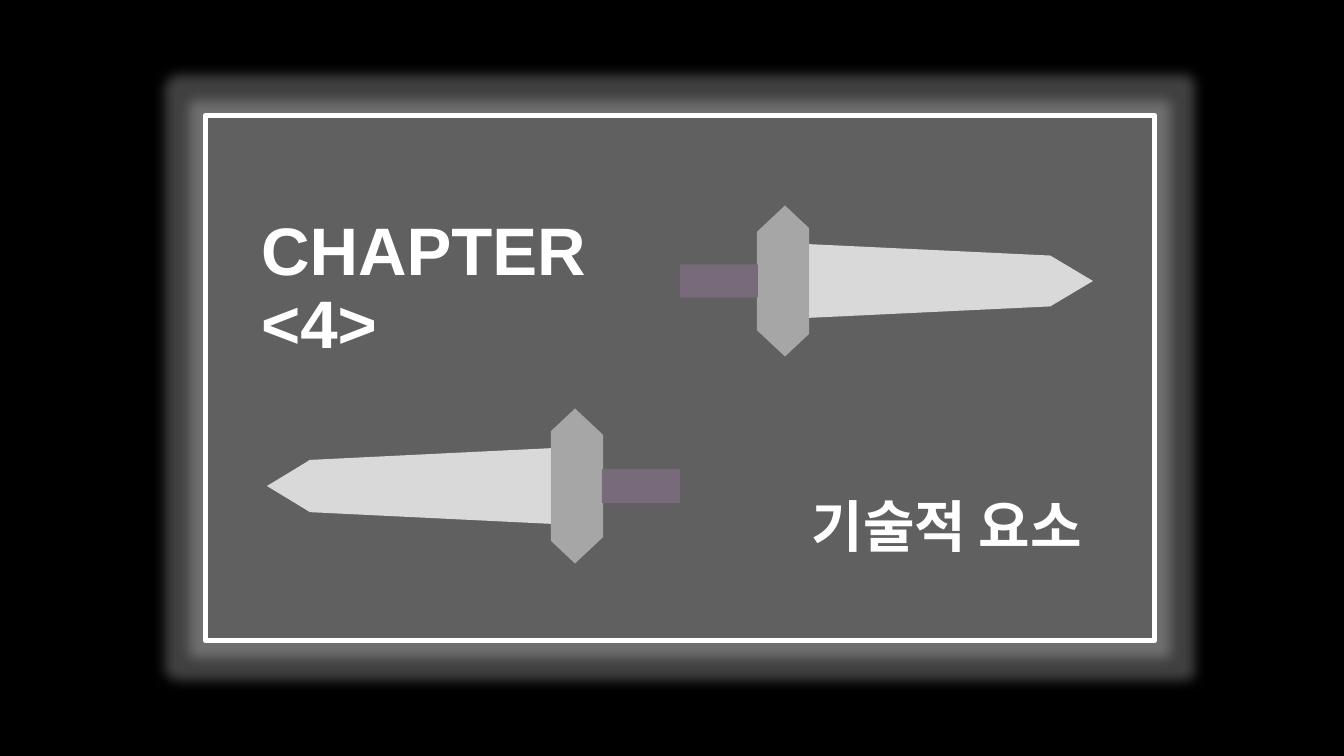
from dataclasses import dataclass
from lxml.etree import SubElement
from pptx import Presentation
from pptx.dml.color import RGBColor
from pptx.enum.shapes import MSO_SHAPE
from pptx.enum.text import MSO_ANCHOR, MSO_AUTO_SIZE, PP_ALIGN
from pptx.oxml.ns import qn
from pptx.util import Emu, Pt


@dataclass(frozen=True)
class Theme:
    font: str = "Arial"
    title: int = 48
    subtitle: int = 40
    border: int = 4
    back: str = "000000"
    panel: str = "262626"
    white: str = "FFFFFF"
    guard: str = "A6A6A6"
    grip: str = "78697B"
    blade: str = "D9D9D9"


THEME = Theme()
TITLE = ["CHAPTER", "<4>"]
SUBTITLE = ["기술적 요소"]
TITLE_BOX = (251, 193, 381, 175)
SUBTITLE_BOX = (680, 487, 412, 78)
PANEL = dict(center=(680, 378), size=(525, 949))
POMMEL_X = 680

# preset, colour, distance from the pommel, length, taper, narrow end towards the tip
PARTS = [
    (MSO_SHAPE.TRAPEZOID, THEME.guard, 77, 28, 0.939, False),
    (MSO_SHAPE.RECTANGLE, THEME.grip, 0, 78, None, True),
    (MSO_SHAPE.TRAPEZOID, THEME.blade, 126, 245, 0.157, True),
    (MSO_SHAPE.TRAPEZOID, THEME.guard, 105, 24, 0.939, True),
    (MSO_SHAPE.ISOSCELES_TRIANGLE, THEME.blade, 371, 42, None, True),
]
# centre line, direction, width of each part
SWORDS = [
    (281, 1, (151, 33, 74, 151, 50)),
    (486, -1, (155, 34, 76, 155, 51)),
]


def px(n):
    return Emu(round(n * 914400 / 100.8))


def rgb(color):
    return RGBColor.from_string(color)


def add_turned(shapes, preset, center, size, color, rotation=90):
    """Add a filled shape around its centre; size is measured before turning."""
    (x, y), (w, h) = center, size
    sp = shapes.add_shape(preset, px(x - w / 2), px(y - h / 2), px(w), px(h))
    sp.rotation = rotation
    sp.shadow.inherit = False
    sp.fill.solid()
    sp.fill.fore_color.rgb = rgb(color)
    sp.line.fill.background()
    return sp


def add_panel(shapes):
    sp = add_turned(shapes, MSO_SHAPE.RECTANGLE, color=THEME.panel, **PANEL)
    sp.line.color.rgb = rgb(THEME.white)
    sp.line.width = Pt(THEME.border)
    spPr = sp.element.spPr
    SubElement(spPr.find(qn("a:ln")), qn("a:round"))
    fill = spPr.find(qn("a:solidFill")).find(qn("a:srgbClr"))
    SubElement(fill, qn("a:alpha"), val="20000")
    glow = SubElement(spPr.find(qn("a:effectLst")), qn("a:glow"), rad=str(Pt(18)))
    white = SubElement(glow, qn("a:srgbClr"), val=THEME.white)
    SubElement(white, qn("a:alpha"), val="25000")


def add_sword(shapes, y, direction, widths):
    group = shapes.add_group_shape()
    for (preset, color, start, length, taper, forward), width in zip(PARTS, widths):
        x = POMMEL_X + direction * (start + length / 2)
        rotation = 90 if forward == (direction > 0) else 270
        sp = add_turned(group.shapes, preset, (x, y), (width, length), color, rotation)
        if taper is not None:
            sp.adjustments[0] = taper


def put_text(sp, box, lines, *, size, align):
    sp.left, sp.top, sp.width, sp.height = map(px, box)
    tf = sp.text_frame
    tf.text = "\n".join(lines)
    tf.word_wrap = True
    tf.auto_size = MSO_AUTO_SIZE.NONE
    tf.vertical_anchor = MSO_ANCHOR.BOTTOM
    for p in tf.paragraphs:
        p.alignment = align
        p.line_spacing = 0.9
        p.space_before = Pt(0)
        for r in p.runs:
            r.font.name = THEME.font
            r.font.size = Pt(size)
            r.font.bold = True
            r.font.color.rgb = rgb(THEME.white)


def main():
    prs = Presentation()
    prs.slide_width, prs.slide_height = px(1344), px(756)
    s = prs.slides.add_slide(prs.slide_layouts[0])
    s.background.fill.solid()
    s.background.fill.fore_color.rgb = rgb(THEME.back)
    title, subtitle = s.placeholders

    add_panel(s.shapes)
    for sword in SWORDS:
        add_sword(s.shapes, *sword)

    put_text(subtitle, SUBTITLE_BOX, SUBTITLE, size=THEME.subtitle, align=PP_ALIGN.RIGHT)
    put_text(title, TITLE_BOX, TITLE, size=THEME.title, align=PP_ALIGN.LEFT)
    for sp in (subtitle, title):
        s.shapes.element.append(sp.element)  # bring text to the front
    prs.save("out.pptx")


if __name__ == "__main__":
    main()
